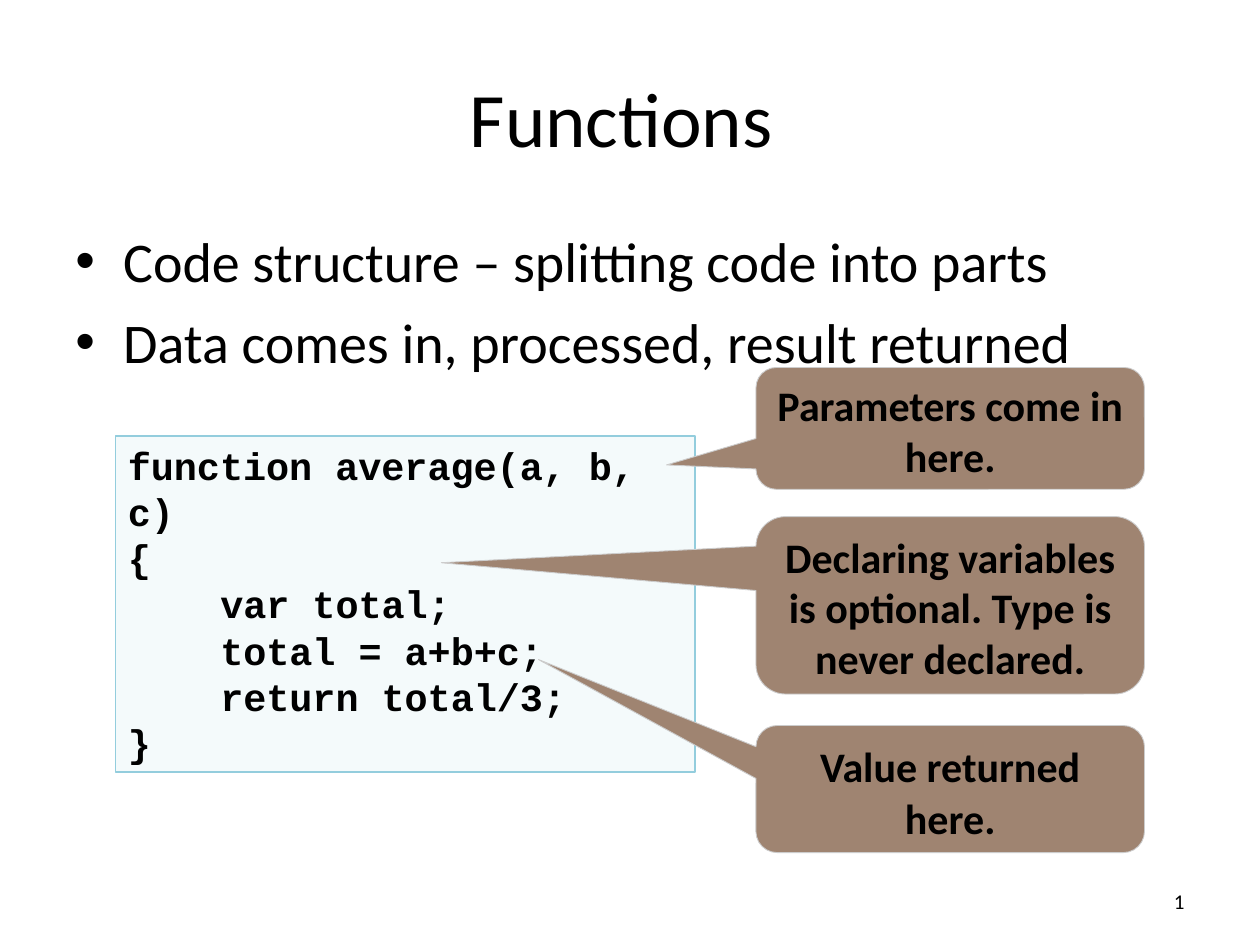
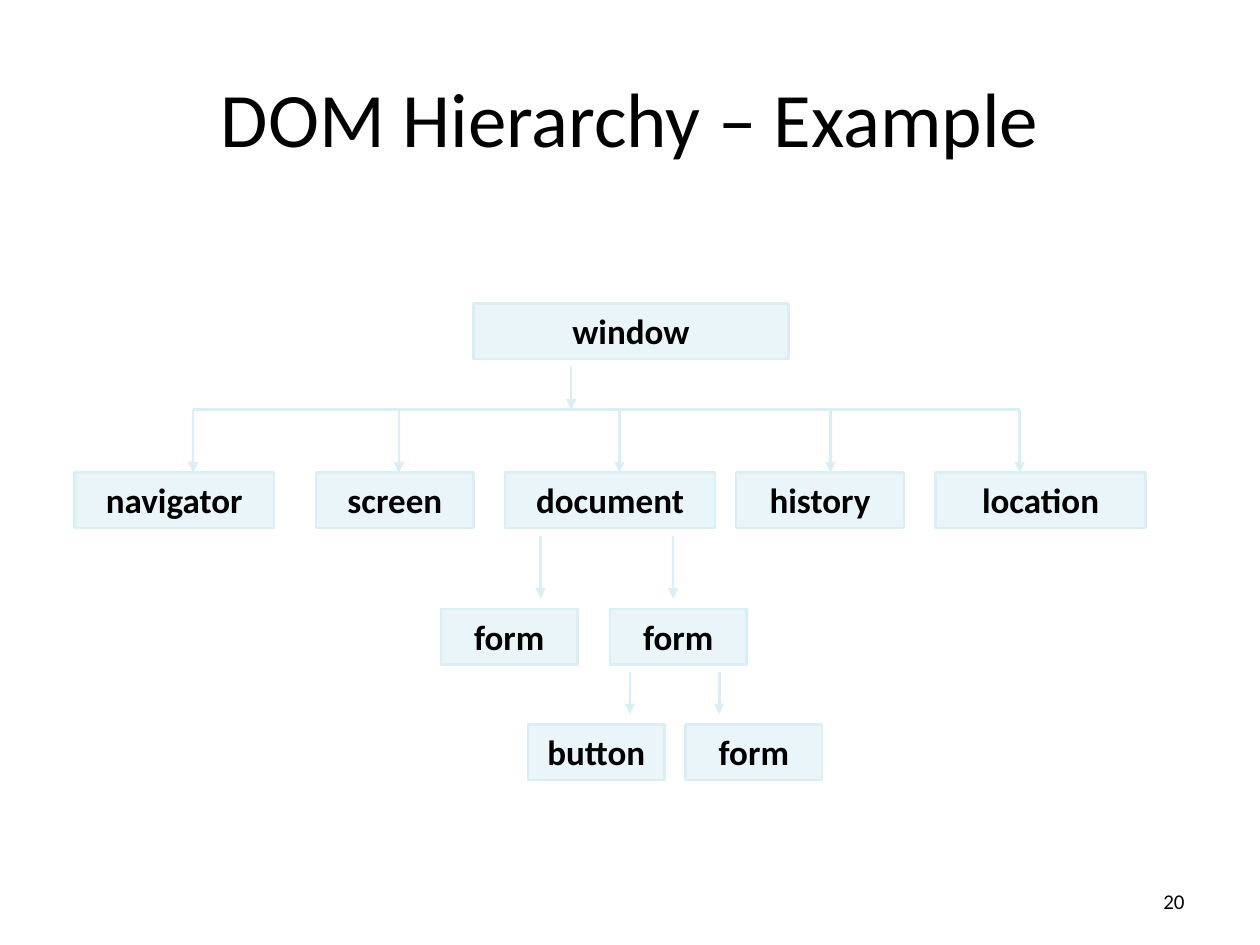
from lxml import etree
from pptx import Presentation
from pptx.dml.color import RGBColor
from pptx.enum.shapes import MSO_CONNECTOR, MSO_SHAPE
from pptx.enum.text import MSO_ANCHOR, PP_ALIGN
from pptx.oxml.ns import qn
from pptx.util import Inches, Pt

RECT, CALLOUT = MSO_SHAPE.RECTANGLE, MSO_SHAPE.ROUNDED_RECTANGULAR_CALLOUT
STRAIGHT = MSO_CONNECTOR.STRAIGHT
TOP, MIDDLE = MSO_ANCHOR.TOP, MSO_ANCHOR.MIDDLE
LEFT, CENTER, RIGHT = PP_ALIGN.LEFT, PP_ALIGN.CENTER, PP_ALIGN.RIGHT

COLS, ROWS = 120, 90  # slide grid
CELL = Inches(10) / COLS
BLACK, PALE_BLUE, MID_BLUE, BLUE = "000000", "DBEEF4", "93CDDD", "B7DEE8"
BROWN, GREY = "9F8471", "CCCCCC"

# Looks: font and paragraph hold attribute values, the rest is for the shape
TITLE = dict(anchor=MIDDLE, font=dict(size=Pt(44)), para=dict(alignment=CENTER))
BODY = dict(font=dict(size=Pt(32)), para=dict(space_before=Pt(8)))
NUMBER = dict(anchor=MIDDLE, font=dict(size=Pt(12)), para=dict(alignment=RIGHT))
CODE = dict(kind=RECT, fill=(BLUE, 15), line=(MID_BLUE, 1),
            font=dict(size=Pt(22), bold=True, name="Courier New"))
NOTE = dict(kind=CALLOUT, fill=(BROWN, 100), line=(GREY, 0.5),
            font=dict(size=Pt(24), bold=True),
            para=dict(alignment=CENTER, space_before=Pt(6)))
NODE = dict(kind=RECT, fill=(BLUE, 30), line=(PALE_BLUE, 1.5),
            font=dict(size=Pt(20), bold=True),
            para=dict(alignment=CENTER, space_before=Pt(12.5)))


def paint(fill, color, opacity=100):
    fill.solid()
    fill.fore_color.rgb = RGBColor.from_string(color)
    if opacity < 100:
        clr = fill._xPr.find(qn("a:solidFill"))[0]
        etree.SubElement(clr, qn("a:alpha"), val=str(opacity * 1000))


def add_text(s, box, lines, look):
    """Add a text box or shape at a grid box (col, row, width, height)."""
    place = [round(n * CELL) for n in box]
    if "kind" in look:
        sp = s.shapes.add_shape(look["kind"], *place)
        sp.shadow.inherit = False
        paint(sp.fill, *look["fill"])
        color, width = look["line"]
        paint(sp.line.fill, color)
        sp.line.width = Pt(width)
    else:
        sp = s.shapes.add_textbox(*place)
    tf = sp.text_frame
    tf.word_wrap = True
    tf.vertical_anchor = look.get("anchor", TOP)
    tf.text = "\n".join(lines)
    for p in tf.paragraphs:
        for name, value in {"alignment": LEFT, **look.get("para", {})}.items():
            setattr(p, name, value)
        for r in p.runs:
            for name, value in {"name": "Calibri", **look["font"]}.items():
                setattr(r.font, name, value)
            paint(r.font.fill, BLACK)
    return sp


prs = Presentation()
prs.slide_width, prs.slide_height = round(COLS * CELL), round(ROWS * CELL)

slides = []
for title, number in [("Functions ", "1"), ("DOM Hierarchy – Example", "20")]:
    s = prs.slides.add_slide(prs.slide_layouts[6])
    add_text(s, (6, 3.6, 108, 15), [title], TITLE)
    add_text(s, (86, 83.4, 28, 4.8), [number], NUMBER)
    slides.append(s)
functions, hierarchy = slides

# Functions: bullets, code and callouts
body = add_text(functions, (6, 21, 108, 59.4),
                ["Code structure – splitting code into parts",
                 "Data comes in, processed, result returned"], BODY)
for p in body.text_frame.paragraphs:
    pPr = p._p.get_or_add_pPr()
    pPr.set("marL", str(Inches(0.38)))
    pPr.set("indent", str(-Inches(0.38)))
    font = etree.SubElement(pPr, qn("a:buFont"), typeface="Arial")
    font.addnext(etree.Element(qn("a:buChar"), char="•"))

code = add_text(functions, (11, 41.5, 55.2, 32),
                ["function average(a, b, c)", "{", "var total;", "total = a+b+c;",
                 "return total/3;", "}"], CODE)
for p in code.text_frame.paragraphs[2:5]:
    p._p.get_or_add_pPr().set("marL", str(Pt(4 * 0.6 * 22)))  # four characters

notes = [
    (35, 11.6, "Parameters come in here.", (-0.73, 0.3)),
    (49.2, 16.9, "Declaring variables is optional. Type is never declared.", (-1.31, -0.24)),
    (69.1, 12.1, "Value returned here.", (-1.06, -1.02)),
]
for row, height, text, tip in notes:
    note = add_text(functions, (72, row, 37, height), [text], NOTE)
    for i, share in enumerate(tip):
        note.adjustments[i] = share
p = note.text_frame.paragraphs[0]
p.space_before, p.line_spacing = Pt(0), Pt(30)

# Hierarchy: each level is a row of (column, width, name)
levels = {
    28.9: [(45.1, 30, "window")],
    45: [(7.1, 19, "navigator"), (30.1, 15, "screen"), (48.1, 20, "document"),
         (70.1, 16, "history"), (89.1, 20, "location")],
    58: [(42, 13, "form"), (58.1, 13, "form")],
    69: [(50.3, 13, "button"), (65.3, 13, "form")],
}
for row, nodes in levels.items():
    for col, width, name in nodes:
        add_text(hierarchy, (col, row, width, 5.3), [name], NODE)

# Arrows run down between two rows at each column
BUS = 39
bus_cols = [18.4, 38, 59, 79.1, 97.1]
arrows = [(34.9, BUS, [54.4]), (BUS, 45, bus_cols),
          (51, 57, [51.5, 64.1]), (64, 68, [60, 68.5])]
lines = [(bus_cols[0], BUS, bus_cols[-1], BUS)]
lines += [(col, top, col, bottom) for top, bottom, cols in arrows for col in cols]
for ends in lines:
    c = hierarchy.shapes.add_connector(STRAIGHT, *[round(n * CELL) for n in ends])
    paint(c.line.fill, PALE_BLUE)
    c.line.width = Pt(1.5)
    if ends[0] == ends[2]:
        etree.SubElement(c.line._get_or_add_ln(), qn("a:tailEnd"), type="triangle")
    etree.SubElement(c._element.spPr, qn("a:effectLst"))

prs.save("out.pptx")
